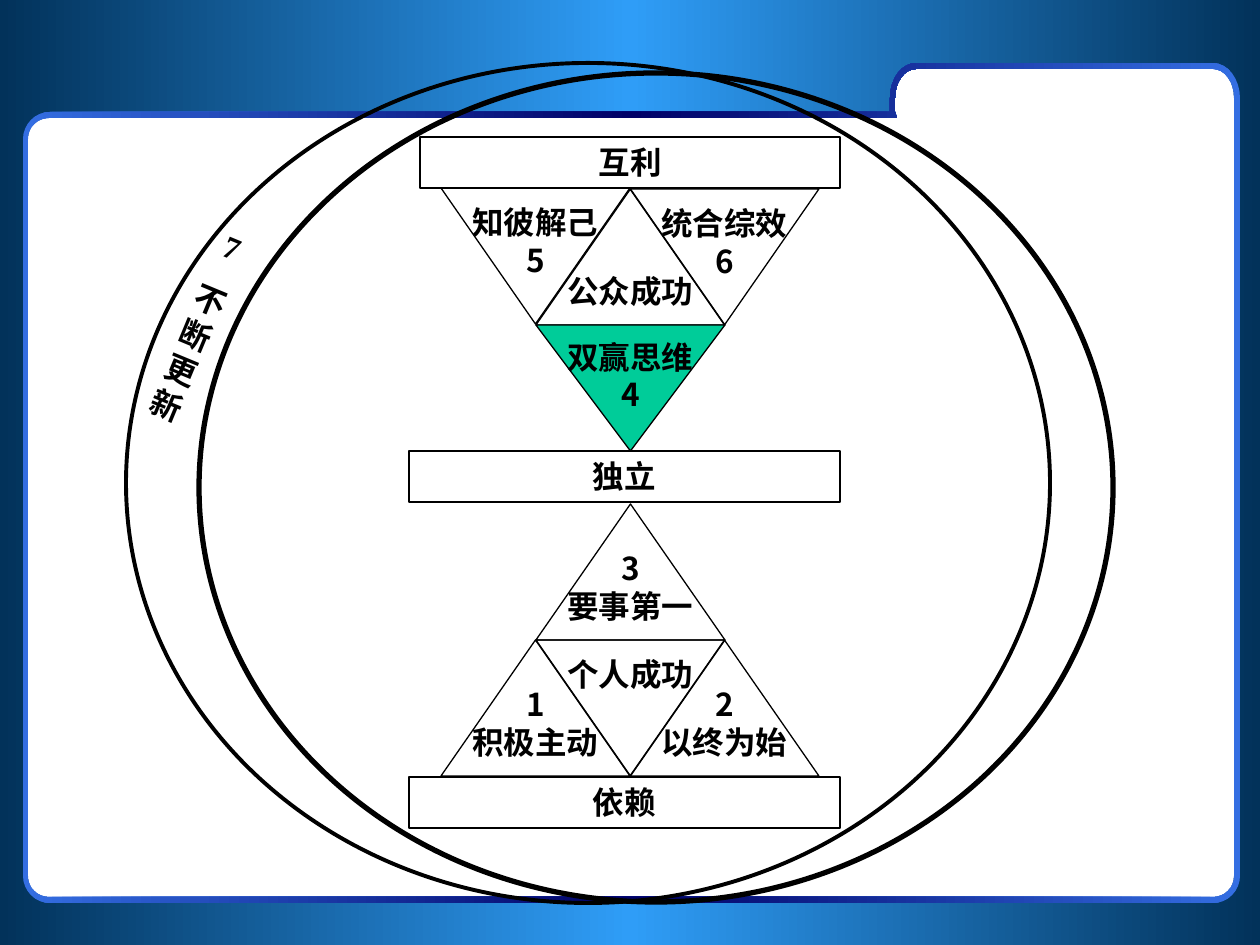
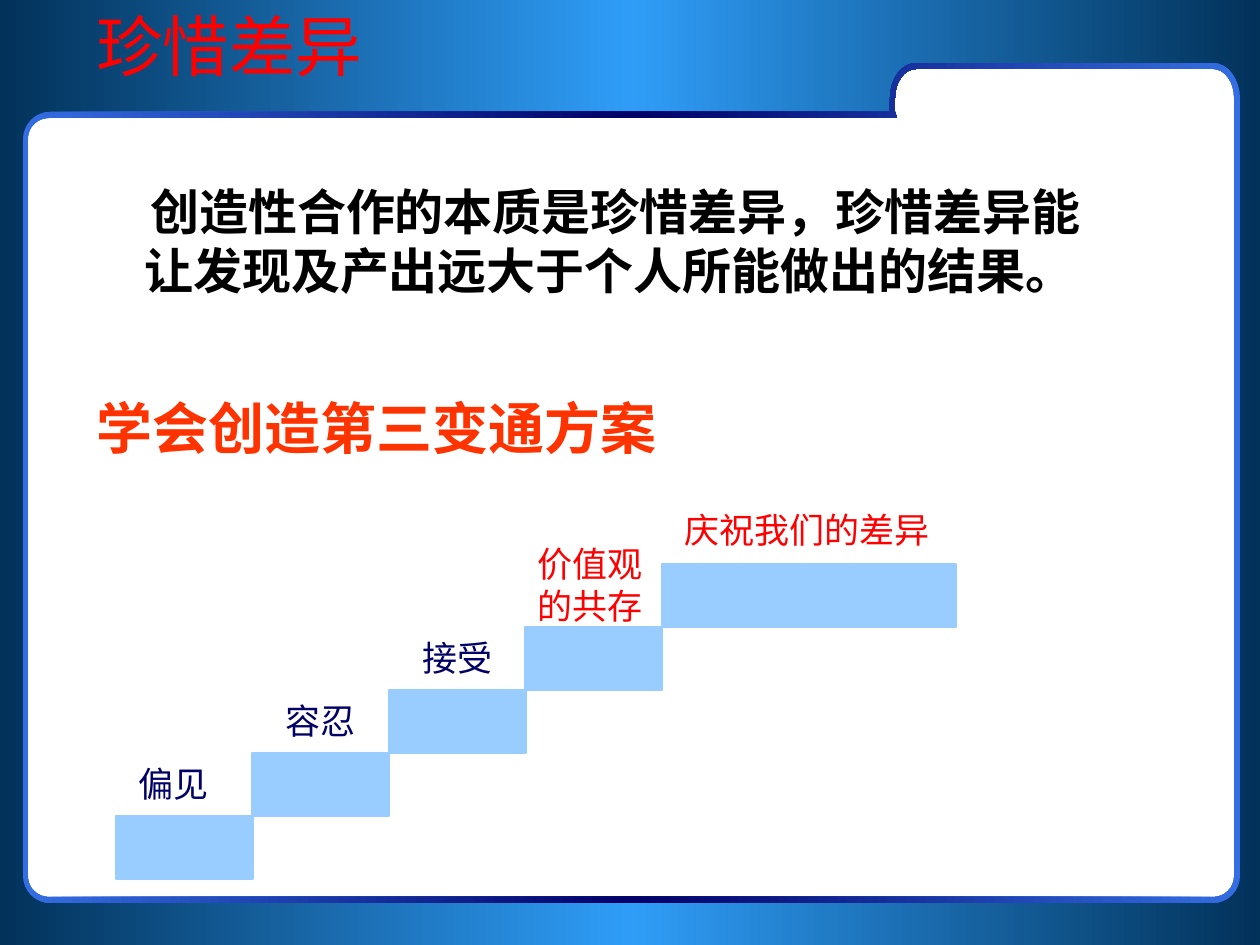
from copy import deepcopy
from math import cos, sin, pi
from lxml.etree import SubElement
from pptx import Presentation
from pptx.dml.color import RGBColor
from pptx.enum.shapes import MSO_SHAPE as SHAPE
from pptx.enum.text import MSO_ANCHOR as ANCHOR, PP_ALIGN as ALIGN
from pptx.oxml.ns import qn
from pptx.util import Pt

PX = 914400 / 126
SANS, SERIF = "Noto Sans CJK SC", "Times New Roman"

BLACK = RGBColor(0x00, 0x00, 0x00)
WHITE = RGBColor(0xFF, 0xFF, 0xFF)
RED = RGBColor(0xFF, 0x00, 0x00)
ORANGE = RGBColor(0xFF, 0x33, 0x00)
GREEN = RGBColor(0x00, 0xCC, 0x99)
NAVY = RGBColor(0x00, 0x00, 0x66)
SKY = RGBColor(0x99, 0xCC, 0xFF)
BACK = (RGBColor(0x02, 0x32, 0x5A), RGBColor(0x2F, 0x9D, 0xF7))
EDGE = (RGBColor(0x34, 0x6E, 0xE2), NAVY)

# Folder outline corners: x, y, corner radius across, corner radius down
OUTER = [(890, 63, 26, 35), (1240, 63, 27, 35), (1240, 903, 27, 27),
         (23, 903, 27, 27), (23, 112, 27, 27), (890, 112, 0, 0)]
INNER = [(895, 69, 21, 29), (1234, 69, 21, 29), (1234, 897, 21, 21),
         (28, 897, 21, 21), (28, 118, 21, 21), (897, 118, 0, 0),
         (895, 112, 0, 0)]

# Habit triangles: left, top, points up, lines, fill
SIDE, TALL = 189, 136
HABITS = [
    (536, 189, True, ["公众成功"], None),
    (441, 640, True, ["1", "积极主动"], None),
    (536, 640, False, ["个人成功"], None),
    (630, 640, True, ["2", "以终为始"], None),
    (536, 504, True, ["3", "要事第一"], None),
    (536, 325, False, ["双赢思维", "4"], GREEN),
    (441, 188, False, ["知彼解己", "5"], None),
    (630, 189, False, ["统合综效", "6"], None),
]
RINGS = [(126, 63, 924, 840, 2.25), (199, 73, 914, 829, 3)]
STAGES = [(420, 137, 420, "互利"), (409, 451, 431, "独立"),
          (409, 777, 431, "依赖")]
RENEW = ["7", "不断更新"]

TITLE = "珍惜差异"
ESSENCE = "创造性合作的本质是珍惜差异，珍惜差异能让发现及产出远大于个人所能做出的结果。"
LEARN = "学会创造第三变通方案"
# Steps: width, label left, label top, label lines, label colour
STEPS = [
    (137, 126, 756, ["偏见"], NAVY),
    (137, 273, 693, ["容忍"], NAVY),
    (137, 410, 630, ["接受"], NAVY),
    (137, 525, 536, ["价值观", "的共存"], RED),
    (294, 672, 502, ["庆祝我们的差异"], RED),
]


def emu(*nums):
    return [round(n * PX) for n in nums]


def blend(shape, ends, mid):
    """Fill from left to right: ends, mid, ends."""
    fill = shape.fill
    fill.gradient()
    fill.gradient_angle = 0
    stops = shape._element.spPr.find(".//" + qn("a:gsLst"))
    stops.append(deepcopy(stops[0]))
    for stop, spot, tint in zip(fill.gradient_stops, (0, 0.5, 1),
                                (ends, mid, ends)):
        stop.position = spot
        stop.color.rgb = tint


def style(shape, fill=None, line=None, width=0.75):
    shape.shadow.inherit = False
    if fill is None:
        shape.fill.background()
    else:
        shape.fill.solid()
        shape.fill.fore_color.rgb = fill
    if line is None:
        shape.line.fill.background()
    else:
        shape.line.color.rgb = line
        shape.line.width = Pt(width)


def draw(slide, kind, box, fill=None, line=None, width=0.75):
    shape = slide.shapes.add_shape(kind, *emu(*box))
    style(shape, fill, line, width)
    return shape


def write(shape, lines, size, color=BLACK, font=SANS, bold=False, align=None,
          anchor=ANCHOR.TOP, wrap=True):
    frame = shape.text_frame
    frame.word_wrap = wrap
    frame.vertical_anchor = anchor
    for i, line in enumerate(lines):
        para = frame.add_paragraph() if i else frame.paragraphs[0]
        para.alignment = align or ALIGN.LEFT
        run = para.add_run()
        run.text = line
        run.font.size = Pt(size)
        run.font.bold = bold
        run.font.color.rgb = color
        run.font.name = font
        SubElement(run.font._element, qn("a:ea")).set("typeface", SANS)
    return frame


def label(slide, box, lines, size, **look):
    shape = slide.shapes.add_textbox(*emu(*box))
    write(shape, lines, size, **look)
    return shape


def trace(corners, parts=8):
    """Points of an outline whose corners are quarter ellipses."""
    def toward(here, there):
        step = [(b > a) - (b < a) for a, b in zip(here[:2], there[:2])]
        return [here[k] + step[k] * here[k + 2] for k in (0, 1)]

    points = []
    for i, spot in enumerate(corners):
        if not spot[2]:
            points.append((spot[0] * 10, spot[1] * 10))
            continue
        start = toward(spot, corners[i - 1])
        end = toward(spot, corners[(i + 1) % len(corners)])
        for n in range(parts + 1):
            turn = pi / 2 * n / parts
            points.append(tuple(
                10 * (start[k] + end[k] - spot[k]
                      + (spot[k] - end[k]) * cos(turn)
                      + (spot[k] - start[k]) * sin(turn)) for k in (0, 1)))
    return points


def outline(slide, *rings):
    first, *rest = [trace(ring) for ring in rings]
    pen = slide.shapes.build_freeform(*first[0], scale=PX / 10)
    pen.add_line_segments(first[1:])
    for ring in rest:
        pen.move_to(*ring[0])
        pen.add_line_segments(ring[1:])
    shape = pen.convert_to_shape()
    style(shape, WHITE)
    return shape


def folder(deck):
    """Add a slide with the blue ground and the folder panel."""
    slide = deck.slides.add_slide(deck.slide_layouts[6])
    blend(draw(slide, SHAPE.RECTANGLE, (0, 0, 1260, 945)), *BACK)
    outline(slide, INNER)
    blend(outline(slide, OUTER, INNER), *EDGE)
    return slide


def habits(deck):
    slide = folder(deck)
    for x, y, up, lines, fill in HABITS:
        kind = SHAPE.FLOWCHART_EXTRACT if up else SHAPE.FLOWCHART_MERGE
        tall = 126 if fill else TALL
        shape = draw(slide, kind, (x, y, SIDE, tall), fill, BLACK)
        frame = write(shape, lines, 18, bold=True, align=ALIGN.CENTER,
                      anchor=ANCHOR.MIDDLE, wrap=False)
        if len(lines) > 1:
            pad, = emu(44)
            if up:
                frame.margin_bottom = pad
            else:
                frame.margin_top = pad
    for *box, width in RINGS:
        draw(slide, SHAPE.OVAL, box, None, BLACK, width)
    renew = label(slide, (170, 215, 59, 222), RENEW, 18, font=SERIF,
                  bold=True, align=ALIGN.CENTER)
    renew.rotation = 22.5
    renew.text_frame.paragraphs[1].space_before = Pt(11.2)
    for x, y, wide, name in STAGES:
        bar = draw(slide, SHAPE.RECTANGLE, (x, y, wide, 51), None, BLACK)
        write(bar, [name], 18, font=SERIF, bold=True, align=ALIGN.CENTER)


def steps(deck):
    slide = folder(deck)
    label(slide, (84, 13, 586, 63), [TITLE], 38, color=RED,
          anchor=ANCHOR.MIDDLE)
    body = label(slide, (84, 175, 1021, 309), [ESSENCE, LEARN], 28, bold=True)
    first, last = body.text_frame.paragraphs
    margin, indent = emu(48, 6)
    first._p.get_or_add_pPr().set("marL", str(margin))
    first._p.get_or_add_pPr().set("indent", str(indent))
    last.space_before = Pt(54)
    last.runs[0].font.size = Pt(32)
    last.runs[0].font.color.rgb = ORANGE
    for i, (wide, x, y, lines, color) in enumerate(STEPS):
        draw(slide, SHAPE.RECTANGLE,
             (116 + i * 273 // 2, 816 - 63 * i, wide, 63), SKY, SKY)
        size = (30 + 39 * len(lines[0]), 14 + 42 * len(lines))
        label(slide, (x, y, *size), lines, 20, color=color)


def main():
    deck = Presentation()
    deck.slide_width, deck.slide_height = emu(1260, 945)
    habits(deck)
    steps(deck)
    deck.save("out.pptx")


if __name__ == "__main__":
    main()
